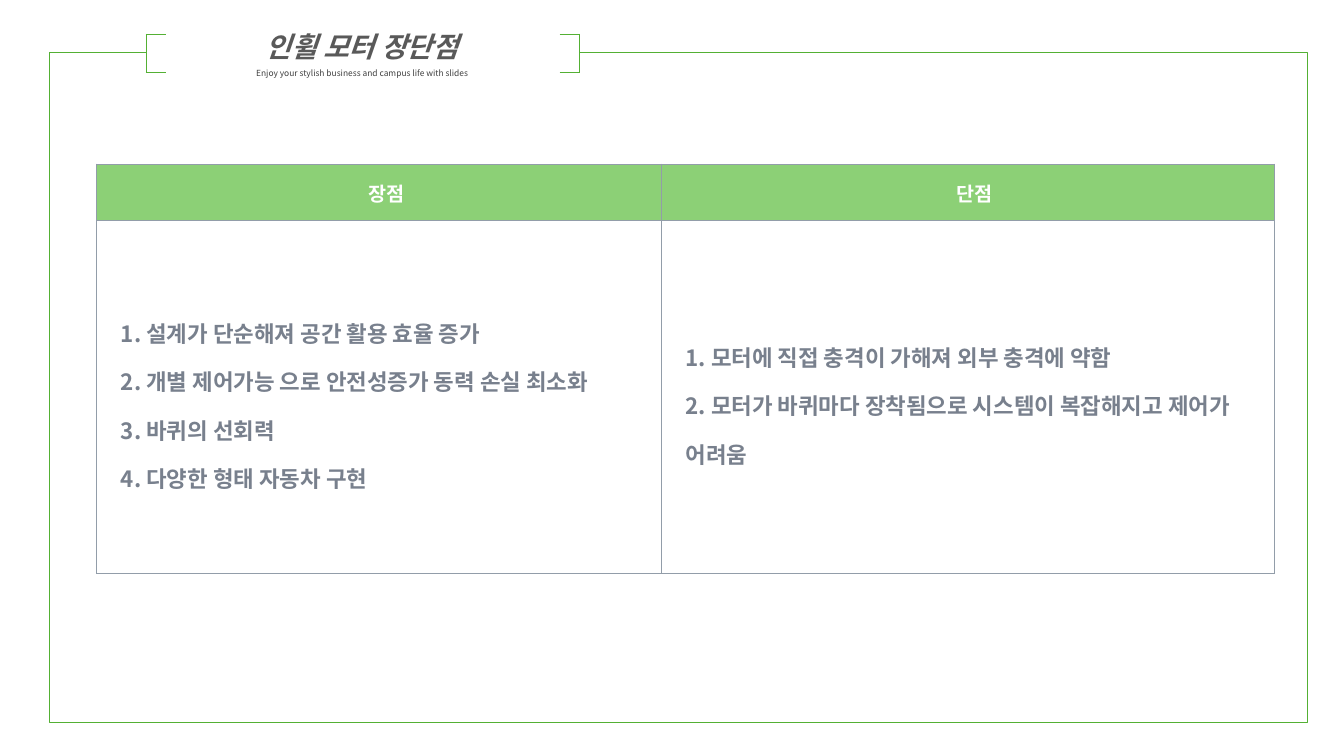
import pptx
import pptx.dml.color
import pptx.enum.shapes
import pptx.enum.text
import pptx.oxml
import pptx.oxml.ns
import pptx.util
from pptx.util import Inches

RGBColor = pptx.dml.color.RGBColor
PP_ALIGN = pptx.enum.text.PP_ALIGN

GREEN = RGBColor(0x54, 0xB0, 0x34)
HEADER_GREEN = RGBColor(0x8C, 0xD0, 0x76)
GRID_GRAY = RGBColor(0x92, 0x9D, 0xA9)
BODY_GRAY = RGBColor(0x78, 0x80, 0x8D)
TITLE_GRAY = RGBColor(0x59, 0x59, 0x59)
SUBTITLE_GRAY = RGBColor(0x40, 0x40, 0x40)
WHITE = RGBColor(0xFF, 0xFF, 0xFF)
FONT = "Noto Sans CJK KR"

HEADERS = ["장점", "단점"]
ADVANTAGES = [
    "1. 설계가 단순해져 공간 활용 효율 증가",
    "2. 개별 제어가능 으로 안전성증가 동력 손실 최소화",
    "3. 바퀴의 선회력",
    "4. 다양한 형태 자동차 구현",
]
DISADVANTAGES = [
    "1. 모터에 직접 충격이 가해져 외부 충격에 약함",
    "2. 모터가 바퀴마다 장착됨으로 시스템이 복잡해지고 제어가 어려움",
]


def write_line(frame, text, size, color, bold=True, italic=False,
               align=PP_ALIGN.LEFT, spacing=1.0):
    """Add one formatted paragraph, using the empty first one if it is free."""
    paragraph = frame.paragraphs[-1]
    if paragraph.runs:
        paragraph = frame.add_paragraph()
    paragraph.alignment = align
    paragraph.line_spacing = spacing
    run = paragraph.add_run()
    run.text = text
    run.font.size = pptx.util.Pt(size)
    run.font.bold = bold
    run.font.italic = italic
    run.font.color.rgb = color
    run.font.name = FONT
    properties = run.font._element
    east_asian = pptx.oxml.parse_xml(
        f'<a:ea {pptx.oxml.ns.nsdecls("a")} typeface="{FONT}"/>')
    properties.find(pptx.oxml.ns.qn("a:latin")).addnext(east_asian)


def set_borders(cell, sides, color, width):
    """Draw the named sides (of L, R, T, B) and clear the others."""
    properties = cell._tc.get_or_add_tcPr()
    for side in "LRTB":
        paint = (f'<a:solidFill><a:srgbClr val="{color}"/></a:solidFill>'
                 if side in sides else "<a:noFill/>")
        properties.append(pptx.oxml.parse_xml(
            f'<a:ln{side} {pptx.oxml.ns.nsdecls("a")} '
            f'w="{int(pptx.util.Pt(width))}">{paint}</a:ln{side}>'))


class SlideBuilder:
    def __init__(self, slide):
        self.slide = slide

    def frame(self, left, top, width, height):
        shape = self.slide.shapes.add_shape(
            pptx.enum.shapes.MSO_SHAPE.RECTANGLE,
            Inches(left), Inches(top), Inches(width), Inches(height))
        shape.shadow.inherit = False
        shape.fill.background()
        shape.line.color.rgb = GREEN
        shape.line.width = pptx.util.Pt(0.75)

    def table(self, left, top, columns, rows):
        table = self.slide.shapes.add_table(
            len(rows), len(columns), Inches(left), Inches(top),
            Inches(sum(columns)), Inches(sum(rows))).table
        table.first_row = table.horz_banding = False
        for column, width in zip(table.columns, columns):
            column.width = Inches(width)
        for row, height in zip(table.rows, rows):
            row.height = Inches(height)
        return table

    def title_bracket(self, left, top, columns, height):
        table = self.table(left, top, columns, [height])
        for cell, sides in zip(table.iter_cells(), ["LTB", "", "RTB"]):
            cell.margin_left = cell.margin_right = 0
            cell.margin_top = cell.margin_bottom = 0
            set_borders(cell, sides, GREEN, 0.75)
            cell.fill.solid()
            cell.fill.fore_color.rgb = WHITE

    def title(self, left, top, width, height, title, subtitle):
        box = self.slide.shapes.add_textbox(
            Inches(left), Inches(top), Inches(width), Inches(height))
        box.text_frame.word_wrap = True
        write_line(box.text_frame, title, 20, TITLE_GRAY, italic=True,
                   align=PP_ALIGN.CENTER, spacing=1.5)
        write_line(box.text_frame, subtitle, 6, SUBTITLE_GRAY, bold=False,
                   align=PP_ALIGN.CENTER, spacing=1.5)

    def comparison(self, left, top, columns, rows, headers, bodies):
        table = self.table(left, top, columns, rows)
        for cell in table.iter_cells():
            cell.vertical_anchor = pptx.enum.text.MSO_ANCHOR.MIDDLE
            cell.margin_left = Inches(0.24)
            set_borders(cell, "LRTB", GRID_GRAY, 1)
        for index, (header, lines) in enumerate(zip(headers, bodies)):
            header_cell, body_cell = table.cell(0, index), table.cell(1, index)
            header_cell.fill.solid()
            header_cell.fill.fore_color.rgb = HEADER_GREEN
            write_line(header_cell.text_frame, header, 14, WHITE,
                       align=PP_ALIGN.CENTER)
            body_cell.fill.background()
            for line in lines:
                write_line(body_cell.text_frame, line, 16, BODY_GRAY,
                           spacing=1.5)


def main():
    presentation = pptx.Presentation()
    presentation.slide_width = Inches(13.33)
    presentation.slide_height = Inches(7.5)
    slide = presentation.slides.add_slide(presentation.slide_layouts[6])
    builder = SlideBuilder(slide)
    builder.frame(0.49, 0.52, 12.48, 6.65)
    builder.title_bracket(1.45, 0.34, [0.2, 3.9, 0.2], 0.38)
    builder.title(1.48, 0.08, 4.22, 0.76, "인휠 모터 장단점",
                  "Enjoy your stylish business and campus life with slides")
    builder.comparison(0.96, 1.63, [5.6, 6.08], [0.56, 3.5],
                       HEADERS, [ADVANTAGES, DISADVANTAGES])
    presentation.save("out.pptx")


if __name__ == "__main__":
    main()
